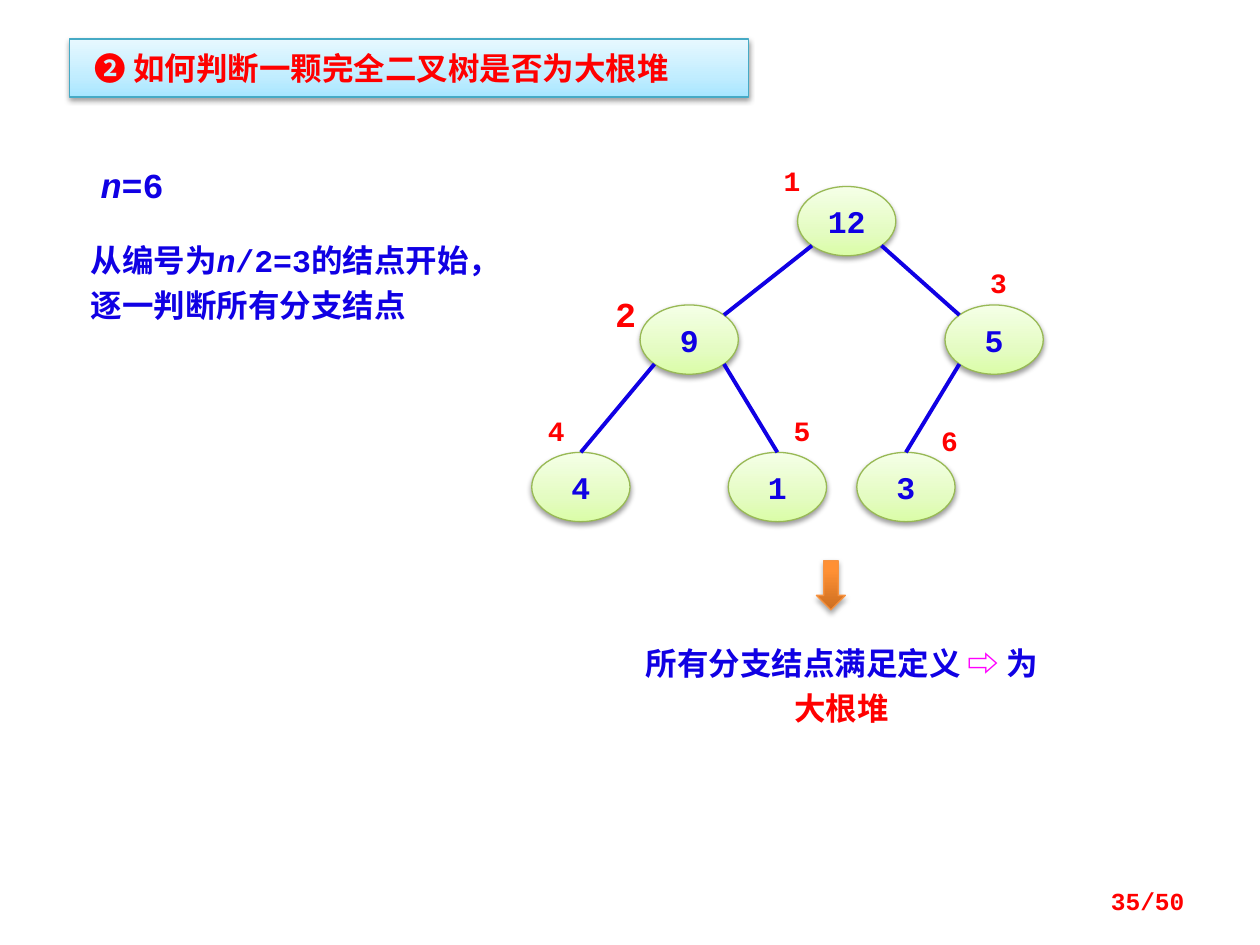
from copy import deepcopy
from math import sqrt

from lxml.etree import SubElement as Sub
from pptx import Presentation
from pptx.dml.color import RGBColor as RGB
from pptx.enum.shapes import MSO_CONNECTOR as LINK, MSO_SHAPE as SHAPE
from pptx.enum.text import MSO_ANCHOR as ANCHOR, PP_ALIGN as ALIGN
from pptx.oxml.ns import qn
from pptx.util import Inches as In, Pt

BLUE = RGB(0x10, 0x00, 0xE4)
RED = RGB(0xFF, 0x00, 0x00)
PINK = RGB(0xFF, 0x00, 0xFF)
FONT = "Courier New"

# Looks: gradient stops from bottom to top, line colour, shadow offset and opacity
LEAF = dict(stops=[(0, RGB(0xDA, 0xFD, 0xA7)), (.35, RGB(0xE4, 0xFC, 0xC2)),
                   (1, RGB(0xF5, 0xFF, 0xE7))],
            line=RGB(0x98, 0xB9, 0x55), drop=1.6, alpha=38)
SKY = dict(stops=[(0, RGB(0xA7, 0xE6, 0xFF)), (.35, RGB(0xC1, 0xED, 0xFF)),
                  (1, RGB(0xE7, 0xF8, 0xFF))],
           line=RGB(0x46, 0xAA, 0xC5), drop=1.6, alpha=38)
AMBER = dict(stops=[(0, RGB(0xCC, 0x6E, 0x20)), (.8, RGB(0xFF, 0x90, 0x34)),
                    (1, RGB(0xFF, 0x91, 0x36))],
             line=RGB(0xF6, 0x92, 0x40), drop=1.8, alpha=35)

TITLE = "❷ 如何判断一颗完全二叉树是否为大根堆"
PAGE = "35/50"

# Heap in level order: value, left, (tag left, tag top, tag size)
NODE_W, NODE_H = .78, .55
ROWS = [1.48, 2.42, 3.59]
HEAP = [("12", 6.33, (6.09, 1.3, 16)),
        ("9", 5.08, (4.77, 2.32, 20)),
        ("5", 7.5, (7.73, 2.11, 16)),
        ("4", 4.22, (4.22, 3.28, 16)),
        ("1", 5.78, (6.17, 3.28, 16)),
        ("3", 6.8, (7.34, 3.36, 16))]

# Notes: place, runs of (text, colour, italic), format
NOTES = [
    ((.7, 1.25, 1.33, .44), [("n", BLUE, True), ("=6", BLUE, False)],
     dict(size=20)),
    ((.62, 1.8, 3.52, .8),
     [("从编号为", BLUE, False), ("n", BLUE, True),
      ("/2=3的结点开始，逐一判断所有分支结点", BLUE, False)],
     dict(space=26)),
    ((4.92, 5, 3.52, .81),
     [("所有分支结点满足定义 ", BLUE, False), ("⇨ ", PINK, False),
      ("为", BLUE, False), ("大根堆", RED, False)],
     dict(space=26, align=ALIGN.CENTER)),
]


def write(shape, runs, size=18, align=ALIGN.LEFT, space=None,
          pad=(.1, .05, .1, .05), anchor=ANCHOR.TOP):
    frame = shape.text_frame
    sides = zip(("left", "top", "right", "bottom"), pad)
    look = {f"margin_{side}": In(gap) for side, gap in sides}
    look.update(word_wrap=True, vertical_anchor=anchor)
    for key, val in look.items():
        setattr(frame, key, val)
    para = frame.paragraphs[0]
    para.alignment = align
    if space:
        para.line_spacing = Pt(space)
    for text, color, italic in runs:
        run = para.add_run()
        run.text = text
        for key, val in dict(name=FONT, size=Pt(size), bold=True,
                             italic=italic).items():
            setattr(run.font, key, val)
        run.font.color.rgb = color


def add_text(slide, at, runs, **form):
    write(slide.shapes.add_textbox(*map(In, at)), runs, **form)


def paint(shape, stops, line, drop, alpha):
    """Give the shape an upward gradient, a thin line and a soft shadow."""
    fill, props = shape.fill, shape.element.spPr
    fill.gradient()
    fill.gradient_angle = 90
    items = props.find(".//" + qn("a:gsLst"))
    items.append(deepcopy(items[0]))
    for stop, (pos, color) in zip(fill.gradient_stops, stops):
        stop.position = pos
        stop.color.rgb = color
    shape.line.color.rgb = line
    shape.line.width = Pt(.75)
    shape.shadow.inherit = False
    shade = Sub(props.find(qn("a:effectLst")), qn("a:outerShdw"),
                blurRad=str(Pt(3.1)), dist=str(Pt(drop)), dir="5400000",
                rotWithShape="0")
    tone = Sub(shade, qn("a:srgbClr"), val="000000")
    Sub(tone, qn("a:alpha"), val=str(alpha * 1000))


def rim(node, side, down):
    """Point on the ellipse at 45 degrees; side and down are -1 or 1."""
    return (int(node.left + node.width / 2 * (1 + side / sqrt(2))),
            int(node.top + node.height / 2 * (1 + down / sqrt(2))))


def add_edge(slide, top, low, side, leaf):
    start, end = rim(top, side, 1), rim(low, -side, -1)
    edge = slide.shapes.add_connector(LINK.STRAIGHT, *start, *end)
    if leaf:
        edge.end_connect(low, 0)
    edge.line.color.rgb = BLUE
    edge.line.width = Pt(2.25)
    Sub(edge.element.spPr, qn("a:effectLst"))


def add_heap(slide):
    nodes = []
    for num, (value, left, (x, y, size)) in enumerate(HEAP, 1):
        level = num.bit_length() - 1
        at = left, ROWS[level], NODE_W, NODE_H
        node = slide.shapes.add_shape(SHAPE.OVAL, *map(In, at))
        paint(node, **LEAF)
        write(node, [(value, BLUE, False)], align=ALIGN.CENTER,
              anchor=ANCHOR.MIDDLE)
        nodes.append(node)
        if num > 1:
            side = 1 if num % 2 else -1
            add_edge(slide, nodes[num // 2 - 1], node, side, level == 2)
        add_text(slide, (x, y, .39, size / 59), [(str(num), RED, False)],
                 size=size, align=ALIGN.CENTER, pad=(0, 0, 0, 0))


def main():
    deck = Presentation()
    deck.slide_width, deck.slide_height = In(10), In(7.5)
    slide = deck.slides.add_slide(deck.slide_layouts[5])

    title = slide.shapes.title
    title.left, title.top, title.width, title.height = map(
        In, (.55, .31, 5.39, .46))
    paint(title, **SKY)
    write(title, [(TITLE, RED, False)], pad=(.2, .08, .1, .08),
          anchor=ANCHOR.MIDDLE)

    add_heap(slide)
    for at, runs, form in NOTES:
        add_text(slide, at, runs, **form)

    arrow = slide.shapes.add_shape(SHAPE.DOWN_ARROW,
                                   *map(In, (6.48, 4.45, .23, .39)))
    paint(arrow, **AMBER)
    add_text(slide, (7.17, 6.95, 2.33, .4), [(PAGE, RED, False)], size=14,
             align=ALIGN.RIGHT, anchor=ANCHOR.MIDDLE)
    deck.save("out.pptx")


if __name__ == "__main__":
    main()
